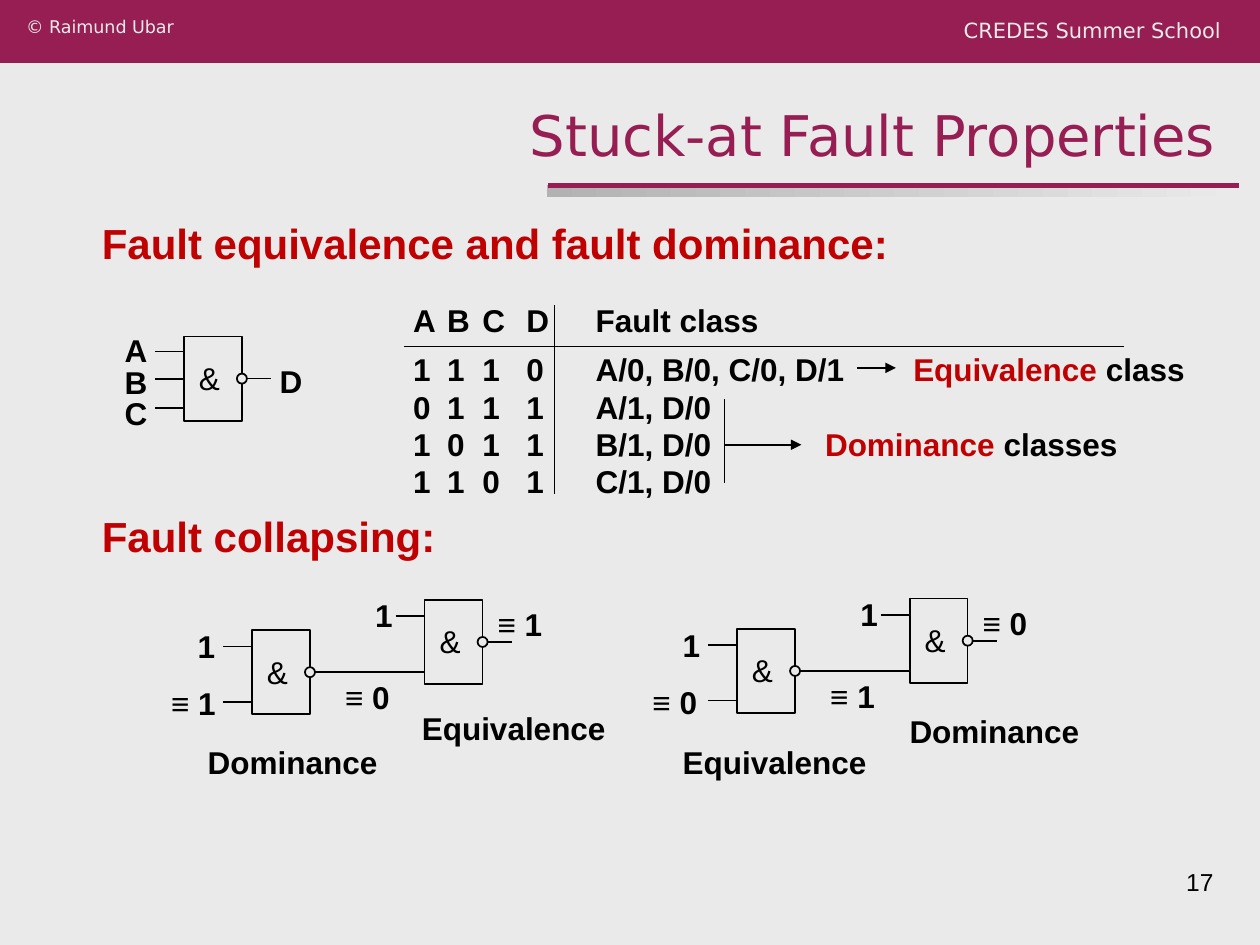
from lxml import etree
from pptx import Presentation
from pptx import util as u
from pptx.dml.color import RGBColor
from pptx.enum import shapes, text
from pptx.oxml import ns

# The slide is a grid of 100 columns by 75 rows of square cells.
CELL = u.Inches(0.1)
COLS, ROWS = 100, 75
GATE_W, GATE_H, PIN, BUBBLE = 4.6, 6.7, 2.3, 0.8
LABEL_H = 4
PLUM, RED, BLACK, PALE, GREY = "971E53", "C00000", "000000", "EAEAEA", "B2B2B2"
SANS, HEADER_FONT = "Arial", "DejaVu Sans"
TAB_STOPS = (2.7, 5.5, 9, 14.5)
FAULT_ROWS = [
    ("A\tB\tC\tD\tFault class", None),
    ("1\t1\t1\t0\tA/0, B/0, C/0, D/1", (39.7, "Equivalence", " class")),
    ("0\t1\t1\t1\tA/1, D/0", None),
    ("1\t0\t1\t1\tB/1, D/0", (32.7, "Dominance", " classes")),
    ("1\t1\t0\t1\tC/1, D/0", None),
]


def grid(*cells):
    return [int(c * CELL) for c in cells]


def rgb(value):
    return RGBColor.from_string(value)


def style(font, size, color=BLACK, bold=False, name=SANS):
    font.size, font.bold, font.name = u.Pt(size), bold, name
    font.color.rgb = rgb(color)


def box(s, kind, x, y, w, h, fill=PALE, line=None):
    sp = s.shapes.add_shape(kind, *grid(x, y, w, h))
    sp.shadow.inherit = False
    if fill:
        sp.fill.solid()
        sp.fill.fore_color.rgb = rgb(fill)
    if line:
        sp.line.color.rgb = rgb(line)
        sp.line.width = u.Pt(1)
    else:
        sp.line.fill.background()
    return sp


def line(s, x1, y1, x2, y2, color=BLACK, width=1, arrow=False):
    cn = s.shapes.add_connector(shapes.MSO_CONNECTOR.STRAIGHT, *grid(x1, y1, x2, y2))
    cn.line.color.rgb = rgb(color)
    cn.line.width = u.Pt(width)
    if arrow:
        ln = cn.line._get_or_add_ln()
        etree.SubElement(ln, ns.qn("a:tailEnd"), type="triangle")
    etree.SubElement(cn._element.spPr, ns.qn("a:effectLst"))


def text_frame(s, x, y, w, h, anchor=text.MSO_ANCHOR.MIDDLE, wrap=False):
    tf = s.shapes.add_textbox(*grid(x, y, w, h)).text_frame
    tf.word_wrap = wrap
    tf.vertical_anchor = anchor
    return tf


def label(s, words, x, y, w, h=LABEL_H, size=18, color=BLACK, bold=True,
          name=SANS, right=False, wrap=False, anchor=text.MSO_ANCHOR.MIDDLE):
    p = text_frame(s, x, y, w, h, anchor, wrap).paragraphs[0]
    p.text = words
    p.alignment = text.PP_ALIGN.RIGHT if right else text.PP_ALIGN.LEFT
    style(p.font, size, color, bold, name)


def add_tabs(p, stops):
    tabs = etree.SubElement(p._p.get_or_add_pPr(), ns.qn("a:tabLst"))
    for stop in grid(*stops):
        etree.SubElement(tabs, ns.qn("a:tab"), pos=str(stop), algn="l")


def frame(s):
    """Header band, title with its rule, and page number."""
    top = text.MSO_ANCHOR.TOP
    box(s, shapes.MSO_SHAPE.RECTANGLE, 0, 0, COLS, 5, PLUM)
    shade = box(s, shapes.MSO_SHAPE.RECTANGLE, 43.4, 14.7, 55.1, 0.9, None)
    shade.fill.gradient()
    shade.fill.gradient_angle = 0
    for stop, color in zip(shade.fill.gradient_stops, (GREY, PALE)):
        stop.color.rgb = rgb(color)
    line(s, 43.5, 14.7, 98.3, 14.7, PLUM, 3)
    label(s, "CREDES Summer School", 74.1, 0.9, 23.8, 3.2, 12, PALE, False,
          HEADER_FONT, right=True, wrap=True, anchor=top)
    label(s, "© Raimund Ubar", 1.1, 0.8, 23.8, 3.2, 10, PALE, False,
          HEADER_FONT, wrap=True, anchor=top)
    label(s, "Stuck-at Fault Properties", 0, 7.5, 97.5, 6.3, 32, PLUM, False,
          HEADER_FONT, right=True, wrap=True, anchor=text.MSO_ANCHOR.BOTTOM)
    label(s, "17", 71.7, 68.3, 25.6, 5.2, 14, bold=False, right=True,
          wrap=True, anchor=top)


def gate(s, x, y, pins, out=PIN):
    """NAND gate with input pins at the given rows and an output wire."""
    mid = y + GATE_H / 2
    box(s, shapes.MSO_SHAPE.RECTANGLE, x, y, GATE_W, GATE_H, line=BLACK)
    label(s, "&", x + 0.2, y + 1.3, 3.6, bold=False)
    for pin in pins:
        line(s, x - PIN, y + pin, x, y + pin)
    line(s, x + GATE_W, mid, x + GATE_W + out, mid)
    box(s, shapes.MSO_SHAPE.OVAL, x + GATE_W - BUBBLE / 2, mid - BUBBLE / 2,
        BUBBLE, BUBBLE, line=BLACK)


def circuit(s, x, y, side, forced, result):
    """Two chained gates; side is the distance of the lower input label."""
    gate(s, x, y, (1.3, 5.7), out=9.1)
    gate(s, x + 13.7, y - 2.4, (1.3,))
    for words, dx, dy, w in (("1", -5.3, -0.7, 3.4), ("1", 8.8, -3.2, 3.4),
                             (forced, -side, 3.8, 6.1),
                             (result, 6.4, 3.3, 6.1),
                             (forced, 18.5, -2.5, 6.1)):
        label(s, words, x + dx, y + dy, w)


def fault_table(s):
    tf = text_frame(s, 31.8, 23.3, 64, 17, wrap=True)
    for i, (cells, fault_class) in enumerate(FAULT_ROWS):
        p = tf.paragraphs[0] if i == 0 else tf.add_paragraph()
        p.line_spacing = u.Pt(21.4)
        p.space_after = u.Pt(0 if i else 6.8)
        add_tabs(p, TAB_STOPS + (fault_class[:1] if fault_class else ()))
        style(p.font, 18, bold=True)
        p.add_run().text = cells
        if fault_class:
            _, name, noun = fault_class
            r = p.add_run()
            r.text = "\t" + name
            r.font.color.rgb = rgb(RED)
            p.add_run().text = noun
    line(s, 32.1, 27.5, 89.2, 27.5)
    line(s, 44, 24.2, 44, 39.2)
    line(s, 57.5, 31.7, 57.5, 38.3)
    line(s, 57.5, 35.3, 63.6, 35.3, arrow=True)
    line(s, 68, 29.2, 71.1, 29.2, arrow=True)


def main():
    prs = Presentation()
    prs.slide_width, prs.slide_height = grid(COLS, ROWS)
    s = prs.slides.add_slide(prs.slide_layouts[6])
    s.background.fill.solid()
    s.background.fill.fore_color.rgb = rgb(PALE)
    frame(s)

    label(s, "Fault equivalence and fault dominance:", 7.1, 16.8, 64.4, 5, 24, RED)
    gate(s, 14.6, 26.7, (1.2, 3.4, 5.7))
    for i, pin in enumerate("ABC"):
        label(s, pin, 8.9, 25.8 + 2.5 * i, 3.8)
    label(s, "D", 21.2, 28.2, 3.8)
    fault_table(s)

    label(s, "Fault collapsing:", 7.1, 40, 28.5, 5, 24, RED)
    circuit(s, 20, 50, 7.4, "≡ 1", "≡ 0")
    circuit(s, 58.5, 49.9, 7.7, "≡ 0", "≡ 1")
    for x, y in ((15.5, 58.5), (71.2, 56)):
        label(s, "Dominance", x, y, 15.5)
    for x, y in ((32.5, 55.8), (53.2, 58.5)):
        label(s, "Equivalence", x, y, 16.6)
    prs.save("out.pptx")


if __name__ == "__main__":
    main()
